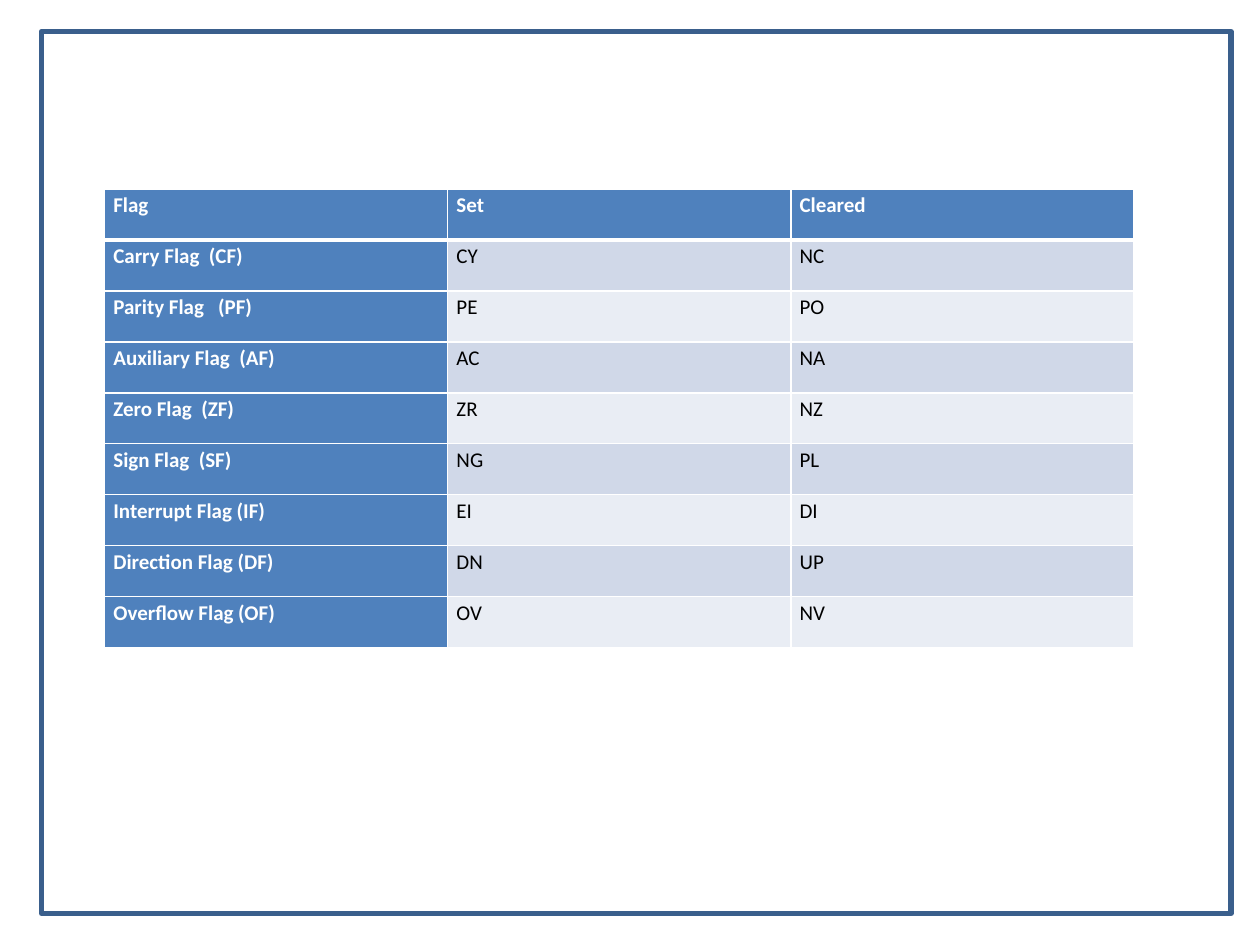
import pptx
import pptx.util
import pptx.dml.color
import pptx.enum.shapes
import lxml.etree
from pptx.oxml.ns import qn

Inches = pptx.util.Inches
Pt = pptx.util.Pt
RGBColor = pptx.dml.color.RGBColor

WHITE = RGBColor(0xFF, 0xFF, 0xFF)
BLACK = RGBColor(0, 0, 0)
BLUE = RGBColor(0x4F, 0x81, 0xBD)
FRAME_BLUE = RGBColor(0x3A, 0x5F, 0x8C)
BANDS = (RGBColor(0xD0, 0xD8, 0xE8), RGBColor(0xE9, 0xED, 0xF4))

FLAGS = [
    ("Flag", "Set", "Cleared"),
    ("Carry Flag  (CF)", "CY", "NC"),
    ("Parity Flag   (PF)", "PE", "PO"),
    ("Auxiliary Flag  (AF)", "AC", "NA"),
    ("Zero Flag  (ZF)", "ZR", "NZ"),
    ("Sign Flag  (SF)", "NG", "PL"),
    ("Interrupt Flag (IF)", "EI", "DI"),
    ("Direction Flag (DF)", "DN", "UP"),
    ("Overflow Flag (OF)", "OV", "NV"),
]
TABLE_LEFT, TABLE_TOP, TABLE_WIDTH, TABLE_HEIGHT = 0.83, 1.5, 8.17, 3.64


def add_frame(page):
    frame = page.shapes.add_shape(
        pptx.enum.shapes.MSO_SHAPE.RECTANGLE,
        Inches(0.33), Inches(0.25), Inches(9.44), Inches(7))
    frame.shadow.inherit = False
    frame.fill.background()
    frame.line.color.rgb = FRAME_BLUE
    frame.line.width = Pt(3)


def write_text(cell, text, color=BLACK, bold=False, size=12, font="Calibri"):
    cell.margin_left = cell.margin_right = Inches(0.07)
    cell.margin_top = cell.margin_bottom = 0
    para = cell.text_frame.paragraphs[0]
    para.line_spacing = 1.15
    para.space_after = Pt(10)
    span = para.add_run()
    span.text = text
    span.font.name = font
    span.font.size = Pt(size)
    span.font.bold = bold
    span.font.color.rgb = color


def add_borders(cell, top=1, bottom=1):
    properties = cell._tc.get_or_add_tcPr()
    for side, width in (("L", 1), ("R", 1), ("T", top), ("B", bottom)):
        line = lxml.etree.SubElement(properties, qn("a:ln" + side), w=str(Pt(width)))
        fill = lxml.etree.SubElement(line, qn("a:solidFill"))
        lxml.etree.SubElement(fill, qn("a:srgbClr"), val=str(WHITE))


def add_flag_table(page):
    row_count, column_count = len(FLAGS), len(FLAGS[0])
    table = page.shapes.add_table(
        row_count, column_count, Inches(TABLE_LEFT), Inches(TABLE_TOP),
        Inches(TABLE_WIDTH), Inches(TABLE_HEIGHT)).table
    for column in table.columns:
        column.width = Inches(TABLE_WIDTH / column_count)
    for row in table.rows:
        row.height = Inches(TABLE_HEIGHT / row_count)
    for row_index, texts in enumerate(FLAGS):
        for column_index, text in enumerate(texts):
            cell = table.cell(row_index, column_index)
            heading = row_index == 0 or column_index == 0
            add_borders(cell, top=3 if row_index == 1 else 1,
                        bottom=3 if row_index == 0 else 1)
            cell.fill.solid()
            cell.fill.fore_color.rgb = BLUE if heading else BANDS[(row_index - 1) % 2]
            write_text(cell, text, color=WHITE if heading else BLACK, bold=heading)


def main():
    deck = pptx.Presentation()
    deck.slide_width, deck.slide_height = Inches(10), Inches(7.5)
    page = deck.slides.add_slide(deck.slide_layouts[6])
    add_frame(page)
    add_flag_table(page)
    deck.save("out.pptx")


if __name__ == "__main__":
    main()
